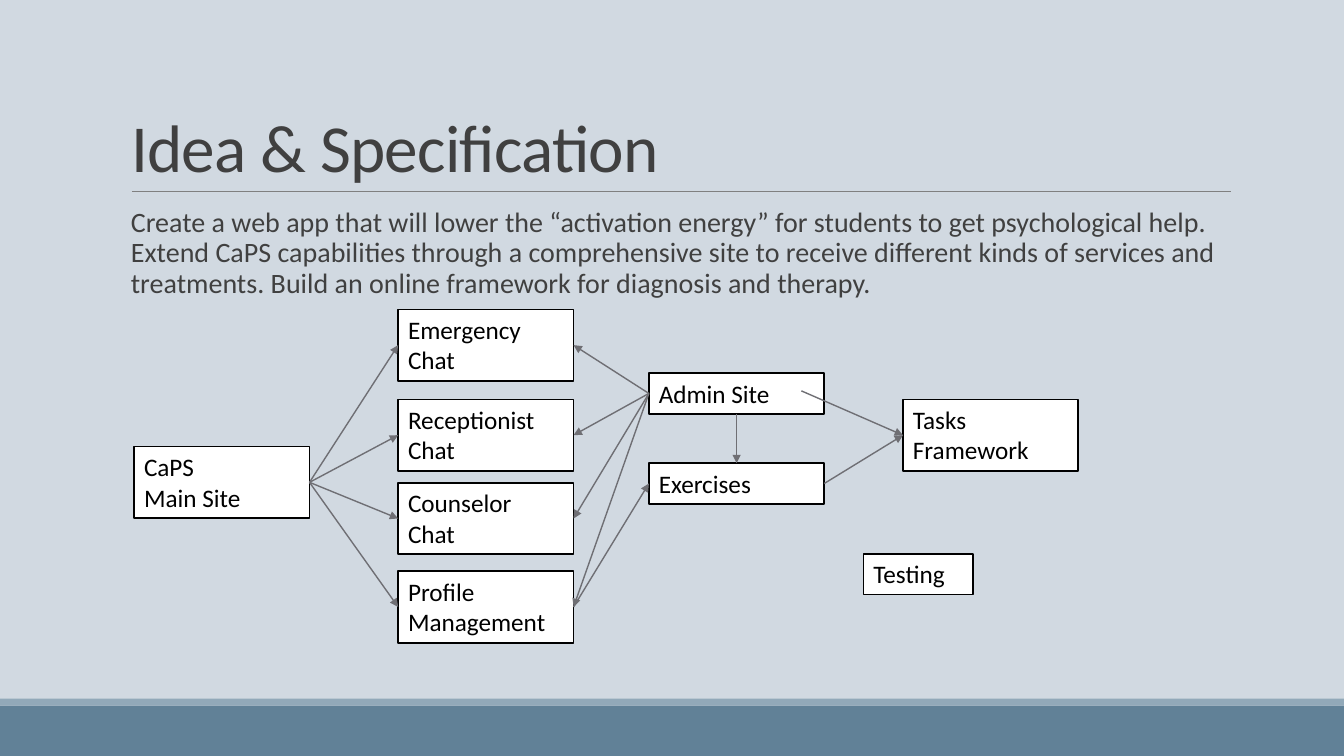
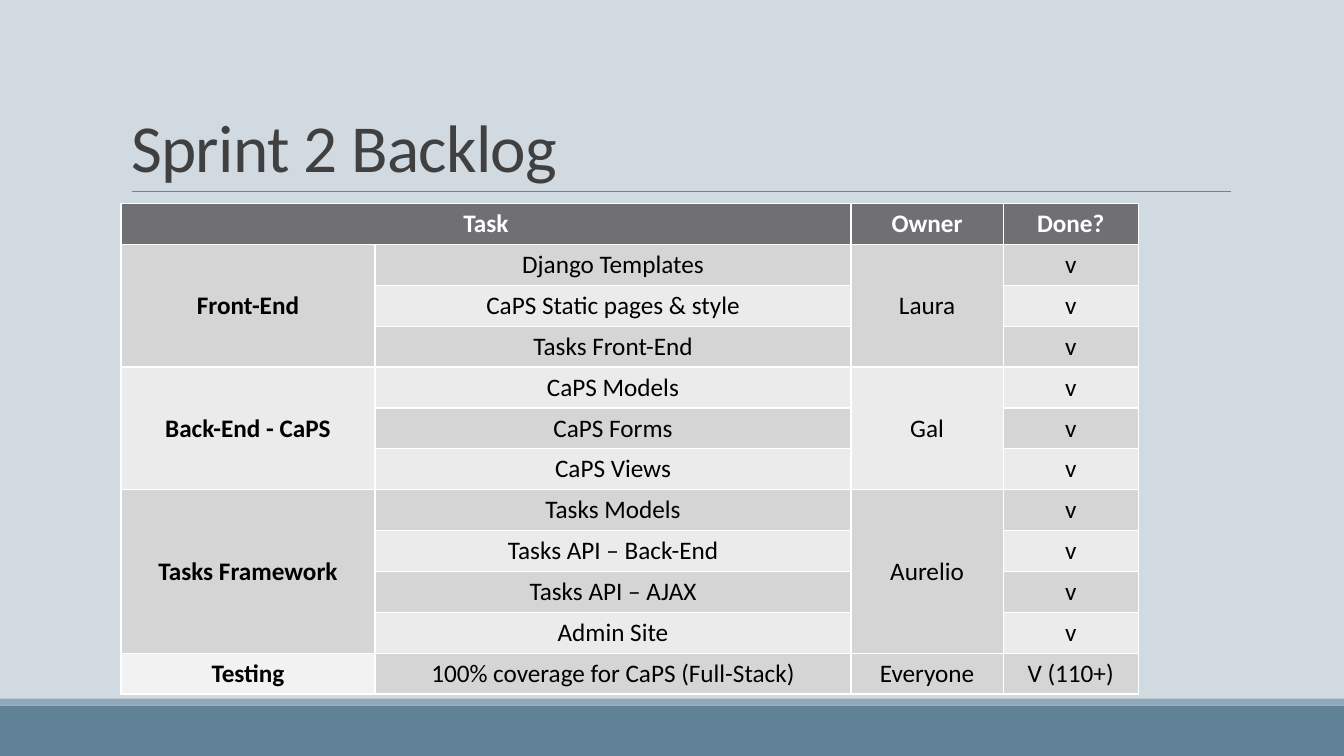
from lxml.etree import SubElement
from pptx import Presentation
from pptx.dml.color import RGBColor
from pptx.enum.shapes import MSO_CONNECTOR, MSO_SHAPE
from pptx.enum.text import MSO_ANCHOR, MSO_AUTO_SIZE, PP_ALIGN
from pptx.oxml.ns import qn
from pptx.util import Pt

FONT = "Calibri"
PAPER = RGBColor(0xD1, 0xD9, 0xE1)
BAND = RGBColor(0x61, 0x81, 0x97)
STRIPE = RGBColor(0x92, 0xA9, 0xB9)
RULE = RGBColor(0x80, 0x80, 0x80)
INK = RGBColor(0x40, 0x40, 0x40)
SLATE = RGBColor(0x6F, 0x6F, 0x74)
DARK_ROW = RGBColor(0xD5, 0xD5, 0xD6)
LIGHT_ROW = RGBColor(0xEB, 0xEB, 0xEB)
TESTING_FILL = RGBColor(0xF2, 0xF2, 0xF2)
WHITE = RGBColor(0xFF, 0xFF, 0xFF)
BLACK = RGBColor(0, 0, 0)

LEFT, RIGHT, BOTTOM, TOP = 1, 3, 2, 0


def write_text(frame, text, size=18, color=BLACK, bold=False, align=PP_ALIGN.LEFT,
               anchor=MSO_ANCHOR.TOP, line_spacing=1.0, tracking=0):
    frame.word_wrap = True
    frame.vertical_anchor = anchor
    frame.text = text
    for paragraph in frame.paragraphs:
        paragraph.alignment = align
        paragraph.line_spacing = line_spacing
        for run in paragraph.runs:
            run.font.name = FONT
            run.font.size = Pt(size)
            run.font.bold = bold
            run.font.color.rgb = color
            if tracking:
                run.font._element.set("spc", str(tracking))


def draw_line(slide, start, end, color, width, arrow=False):
    line = slide.shapes.add_connector(
        MSO_CONNECTOR.STRAIGHT, *(Pt(value) for value in (*start, *end)))
    line.line.color.rgb = color
    line.line.width = Pt(width)
    properties = line._element.spPr
    if arrow:
        SubElement(properties.find(qn("a:ln")), qn("a:tailEnd"), type="triangle")
    SubElement(properties, qn("a:effectLst"))
    return line


deck = Presentation()
deck.slide_width, deck.slide_height = Pt(960), Pt(540)
background = deck.slide_master.background.fill
background.solid()
background.fore_color.rgb = PAPER

slides = []
for heading in ("Idea & Specification", "Sprint 2 Backlog"):
    slide = deck.slides.add_slide(deck.slide_layouts[5])
    slides.append(slide)
    for top, height, color in ((504, 36, BAND), (499, 5, STRIPE)):
        band = slide.shapes.add_shape(MSO_SHAPE.RECTANGLE, 0, Pt(top), Pt(960), Pt(height))
        band.shadow.inherit = False
        band.fill.solid()
        band.fill.fore_color.rgb = color
        band.line.fill.background()
    draw_line(slide, (94.3, 136.8), (879.1, 136.8), RULE, 0.5)
    title = slide.shapes.title
    title.left, title.top, title.width, title.height = Pt(86.4), Pt(22.3), Pt(792), Pt(114.5)
    write_text(title.text_frame, heading, size=48, color=INK, anchor=MSO_ANCHOR.BOTTOM,
               line_spacing=0.85, tracking=-50)
    title.text_frame.auto_size = MSO_AUTO_SIZE.NONE

idea, backlog = slides

summary = idea.shapes.add_textbox(Pt(86.4), Pt(145.4), Pt(792), Pt(76)).text_frame
summary.margin_right = 0
write_text(
    summary,
    "Create a web app that will lower the “activation energy” for students to get "
    "psychological help. Extend CaPS capabilities through a comprehensive site to receive "
    "different kinds of services and treatments. Build an online framework for diagnosis "
    "and therapy.",
    size=20, color=INK, line_spacing=0.9)

ONE_LINE, TWO_LINES = 29.1, 51.1
components = {}
for text, left, top, width, height in (
    ("CaPS\nMain Site", 95.8, 319, 125.3, TWO_LINES),
    ("Emergency Chat", 284.4, 221, 125.3, TWO_LINES),
    ("Receptionist Chat", 284.4, 285.3, 125.3, TWO_LINES),
    ("Counselor Chat", 284.4, 344.8, 125.3, TWO_LINES),
    ("Profile Management", 284.4, 408, 125.3, TWO_LINES),
    ("Admin Site", 463.5, 266.5, 125.3, ONE_LINE),
    ("Exercises", 463.5, 330.8, 125.3, ONE_LINE),
    ("Tasks Framework", 645, 285.3, 125.3, TWO_LINES),
    ("Testing", 616.8, 395.5, 78.5, ONE_LINE),
):
    component = idea.shapes.add_shape(
        MSO_SHAPE.RECTANGLE, Pt(left), Pt(top), Pt(width), Pt(height))
    component.shadow.inherit = False
    component.fill.solid()
    component.fill.fore_color.rgb = WHITE
    component.line.color.rgb = BLACK
    component.line.width = Pt(1.25)
    write_text(component.text_frame, text)
    component.text_frame.auto_size = MSO_AUTO_SIZE.SHAPE_TO_FIT_TEXT
    components[text.replace("\n", " ")] = component

services = ("Emergency Chat", "Receptionist Chat", "Counselor Chat", "Profile Management")
links = [("CaPS Main Site", RIGHT, service, LEFT) for service in services]
links += [("Admin Site", LEFT, service, RIGHT) for service in services]
links += [
    ("Exercises", RIGHT, "Tasks Framework", LEFT),
    ("Profile Management", RIGHT, "Exercises", LEFT),
    ("Admin Site", BOTTOM, "Exercises", TOP),
]
for source, source_side, target, target_side in links:
    link = draw_line(idea, (0, 0), (0, 0), SLATE, 1, arrow=True)
    link.begin_connect(components[source], source_side)
    link.end_connect(components[target], target_side)
admin_to_tasks = draw_line(idea, (572.4, 279.2), (645, 310.9), SLATE, 1, arrow=True)
admin_to_tasks.end_connect(components["Tasks Framework"], LEFT)

areas = (
    ("Front-End", "Laura", "v",
     ("Django Templates", "CaPS Static pages & style", "Tasks Front-End")),
    ("Back-End - CaPS", "Gal", "v", ("CaPS Models", "CaPS Forms", "CaPS Views")),
    ("Tasks Framework", "Aurelio", "v",
     ("Tasks Models", "Tasks API – Back-End", "Tasks API – AJAX", "Admin Site")),
    ("Testing", "Everyone", "V (110+)", ("100% coverage for CaPS (Full-Stack)",)),
)
rows = [("Task", "", "Owner", "Done?")]
spans = []
for area, owner, done, tasks in areas:
    spans.append((len(rows), len(rows) + len(tasks) - 1))
    for index, task in enumerate(tasks):
        rows.append((area, task, owner, done) if index == 0 else ("", task, "", done))

ROW_HEIGHT = 29.2
column_widths = (181.5, 340, 108.7, 96.5)
table = backlog.shapes.add_table(
    len(rows), len(column_widths), Pt(86.4), Pt(145.4),
    Pt(sum(column_widths)), Pt(ROW_HEIGHT * len(rows))).table
for column, width in zip(table.columns, column_widths):
    column.width = Pt(width)
for row_index, row in enumerate(rows):
    table.rows[row_index].height = Pt(ROW_HEIGHT)
    is_header = row_index == 0
    for column_index, text in enumerate(row):
        cell = table.cell(row_index, column_index)
        cell.fill.solid()
        if is_header:
            cell.fill.fore_color.rgb = SLATE
        elif text == "Testing":
            cell.fill.fore_color.rgb = TESTING_FILL
        else:
            cell.fill.fore_color.rgb = DARK_ROW if row_index % 2 else LIGHT_ROW
        write_text(cell.text_frame, text, color=WHITE if is_header else BLACK,
                   bold=is_header or column_index == 0, align=PP_ALIGN.CENTER)
        cell.vertical_anchor = MSO_ANCHOR.MIDDLE
table.cell(0, 0).merge(table.cell(0, 1))
for first, last in spans:
    if last > first:
        for column_index in (0, 2):
            table.cell(first, column_index).merge(table.cell(last, column_index))

deck.save("out.pptx")
